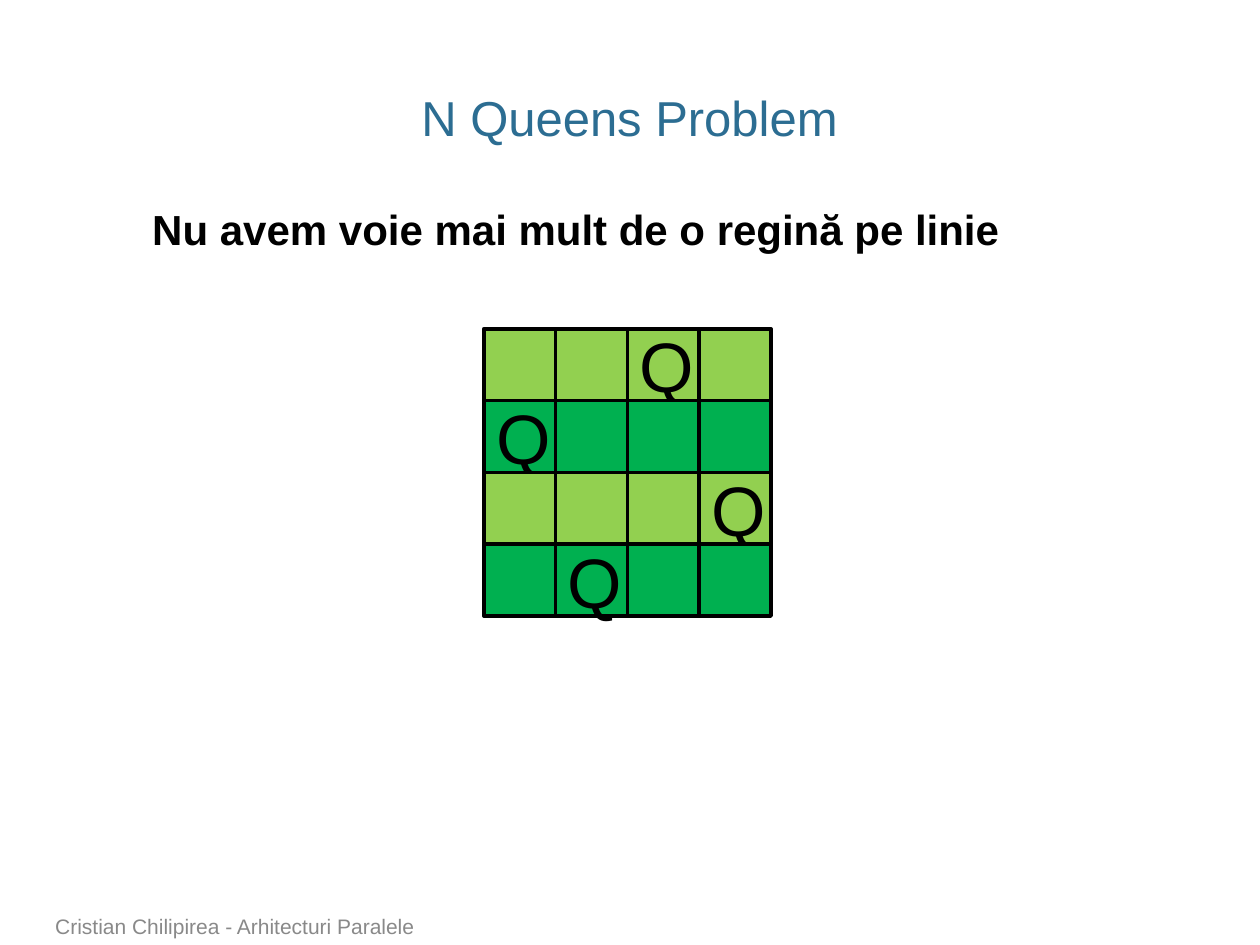
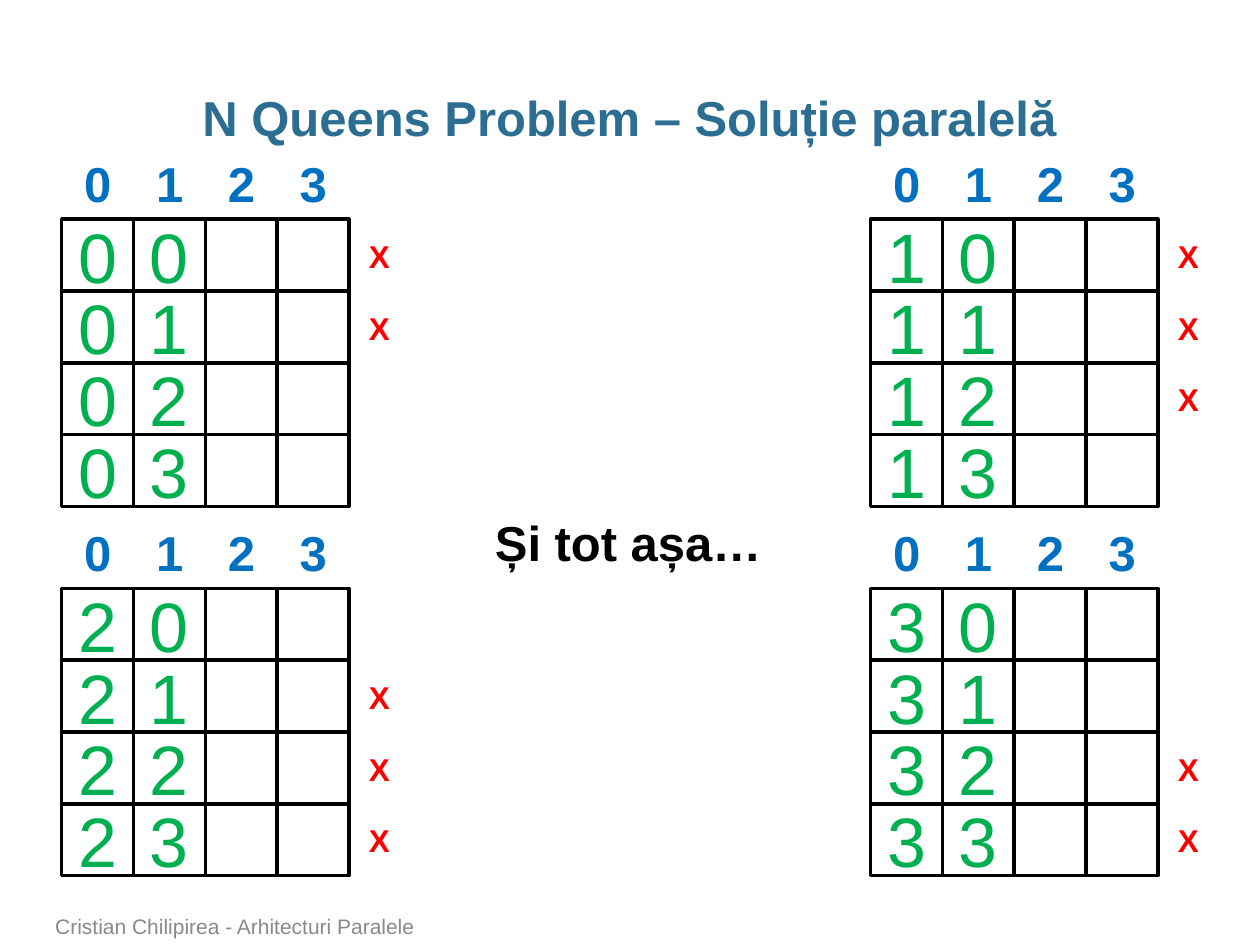
from itertools import product

from pptx import Presentation
from pptx.dml.color import RGBColor
from pptx.enum import shapes, text
from pptx.util import Inches, Pt

COLORS = {
    "title": "2C6D92",
    "ink": "000000",
    "light": "92D050",
    "dark": "00B050",
    "white": "FFFFFF",
    "index": "0070C0",
    "conflict": "FF0000",
    "footer": "898989",
}
FONT = "Arial"
SIZE = 4
CELL = 0.57


class SlideBuilder:
    def __init__(self, deck):
        self.deck = deck
        self.slide = None

    def new_slide(self, title, bold=False):
        """Start a slide with its title and footer."""
        self.slide = self.deck.slides.add_slide(self.deck.slide_layouts[6])
        box = self.text(title, 0.34, 0.68, 9.31, 0.5, 28, "title", bold, wrap=True)
        frame = box.text_frame
        frame.margin_left = frame.margin_right = 0
        frame.paragraphs[0].alignment = text.PP_ALIGN.CENTER
        frame.paragraphs[0].line_spacing = 0.95
        footer = self.text("Cristian Chilipirea - Arhitecturi Paralele",
                           0.34, 7.22, 7.37, 0.28, 12, "footer", False, wrap=True)
        footer.text_frame.vertical_anchor = text.MSO_ANCHOR.BOTTOM

    def style(self, para, size, color, bold=False):
        for span in para.runs:
            span.font.name = FONT
            span.font.size = Pt(size)
            span.font.bold = bold
            span.font.color.rgb = RGBColor.from_string(COLORS[color])

    def text(self, words, left, top, width, height, size, color, bold=True, wrap=False):
        box = self.slide.shapes.add_textbox(
            Inches(left), Inches(top), Inches(width), Inches(height))
        frame = box.text_frame
        frame.word_wrap = wrap
        if not wrap:
            frame.auto_size = text.MSO_AUTO_SIZE.SHAPE_TO_FIT_TEXT
        frame.text = words
        self.style(frame.paragraphs[0], size, color, bold)
        return box

    def cell(self, left, top, fill=None, mark="", mark_color="ink"):
        square = self.slide.shapes.add_shape(
            shapes.MSO_SHAPE.RECTANGLE,
            Inches(left), Inches(top), Inches(CELL), Inches(CELL))
        square.shadow.inherit = False
        if fill:
            square.fill.solid()
            square.fill.fore_color.rgb = RGBColor.from_string(COLORS[fill])
        else:
            square.fill.background()
        square.line.color.rgb = RGBColor.from_string(COLORS["ink"])
        square.line.width = Pt(2)
        if mark:
            square.text_frame.text = mark
            para = square.text_frame.paragraphs[0]
            para.alignment = text.PP_ALIGN.CENTER
            self.style(para, 40, mark_color)

    def queens_board(self, left, top, queen_columns):
        """Draw a board with one queen in each row."""
        for row, column in product(range(SIZE), repeat=2):
            self.cell(left + column * CELL, top + row * CELL,
                      "dark" if row % 2 else "light",
                      "Q" if queen_columns[row] == column else "")

    def search_board(self, left, top, first):
        """List the second choices after a fixed first one and mark conflicts."""
        for column in range(SIZE):
            self.text(str(column), left + 0.08 + column * CELL, top - CELL,
                      0.42, CELL, 28, "index")
        for second in range(SIZE):
            row_top = top + second * CELL
            for column, mark in enumerate((str(first), str(second), "", "")):
                self.cell(left + column * CELL, row_top,
                          "white" if column == 1 else None, mark, "dark")
            if abs(first - second) <= 1:
                self.text("X", left + 2.34, row_top + 0.09, 0.37, 0.4, 18, "conflict")


def main():
    deck = Presentation()
    deck.slide_width = Inches(10)
    deck.slide_height = Inches(7.5)
    builder = SlideBuilder(deck)

    builder.new_slide("N Queens Problem")
    builder.queens_board(3.84, 2.61, queen_columns=(2, 0, 3, 1))
    builder.text("Nu avem voie mai mult de o regină pe linie",
                 1.11, 1.57, 6.98, 0.5, 24, "ink")

    builder.new_slide("N Queens Problem – Soluție paralelă", bold=True)
    for first, (top, left) in enumerate(product((1.74, 4.67), (0.49, 6.91))):
        builder.search_board(left, top, first)
    builder.text("Și tot așa…", 3.83, 4.02, 2.34, 0.57, 28, "ink")

    deck.save("out.pptx")


if __name__ == "__main__":
    main()
